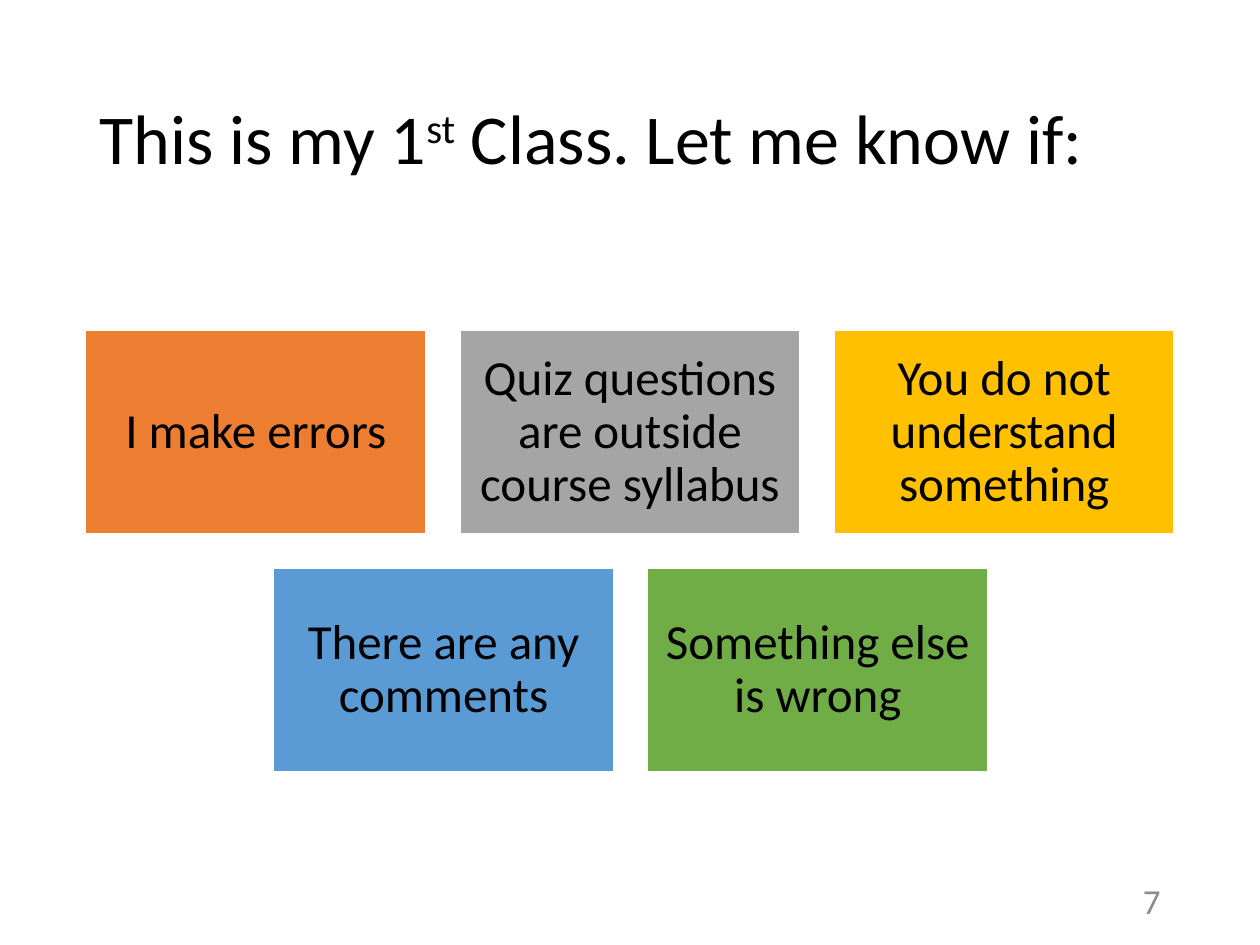
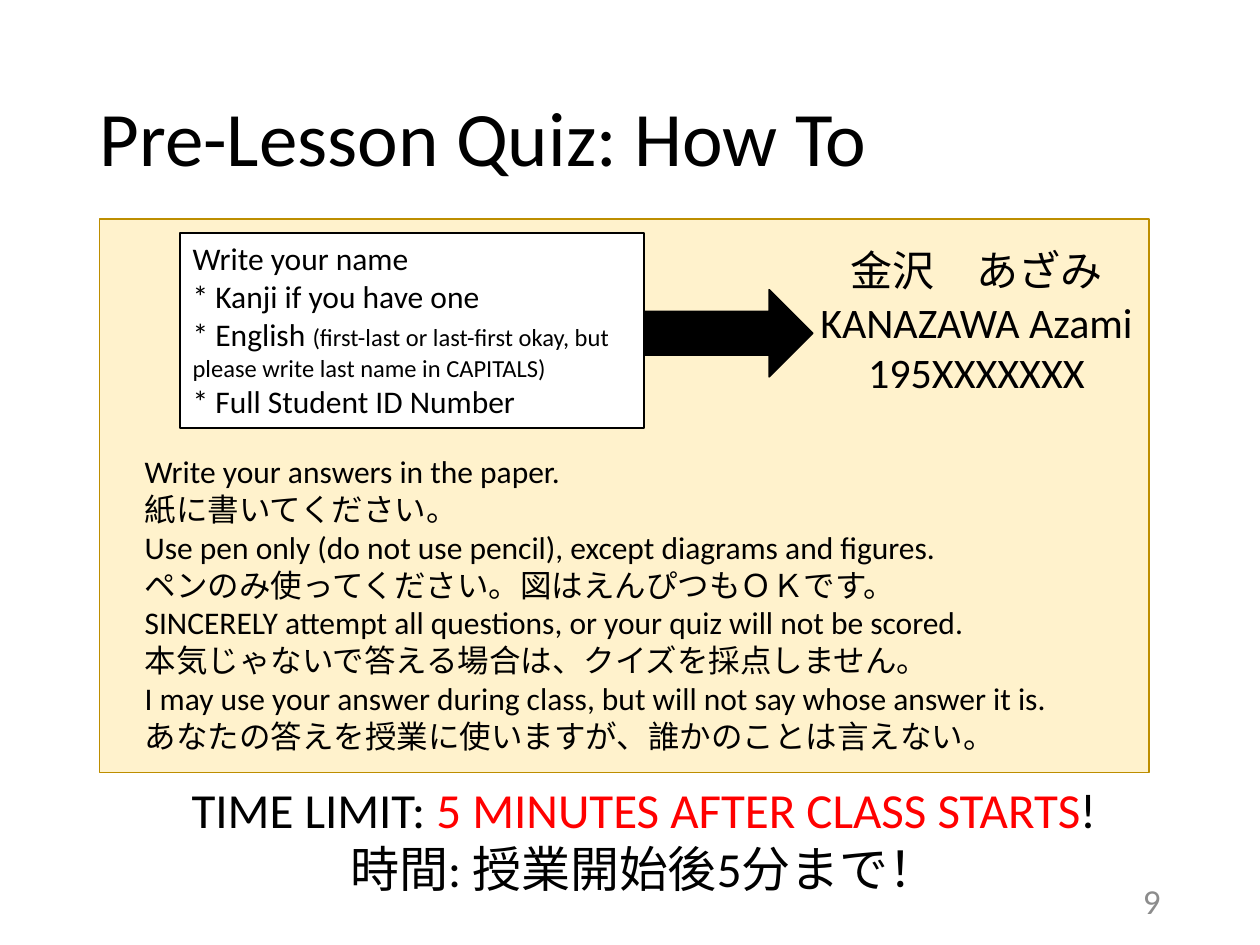
from pptx import Presentation
from pptx.dml.color import RGBColor
from pptx.enum.shapes import MSO_SHAPE as Preset
from pptx.enum.text import MSO_ANCHOR as Anchor, MSO_AUTO_SIZE as Fit, PP_ALIGN as Align
from pptx.util import Pt

# Shared look: 100 px to the inch
PX = 9144
FONT = "Calibri"
BLACK = RGBColor(0x00, 0x00, 0x00)
WHITE = RGBColor(0xFF, 0xFF, 0xFF)
RED = RGBColor(0xFF, 0x00, 0x00)
GRAY = RGBColor(0x8C, 0x8C, 0x8C)
CREAM = RGBColor(0xFF, 0xF2, 0xCC)
GOLD = RGBColor(0xBD, 0x8E, 0x00)
ORANGE = RGBColor(0xED, 0x7D, 0x31)
SILVER = RGBColor(0xA5, 0xA5, 0xA5)
YELLOW = RGBColor(0xFF, 0xC0, 0x00)
BLUE = RGBColor(0x5B, 0x9B, 0xD5)
GREEN = RGBColor(0x70, 0xAD, 0x47)

deck = Presentation()
deck.slide_width, deck.slide_height = 1000 * PX, 750 * PX
TITLE_ONLY = deck.slide_layouts[5]


def write(box, paras, size=18, color=BLACK, align=Align.LEFT, anchor=Anchor.TOP,
          fit=Fit.NONE, wrap=True, inset=(10, 5), spacing=1.0):
    """Fill a shape; a paragraph is a string or a list of strings and (text, format) pairs."""
    frame = box.text_frame
    frame.word_wrap, frame.auto_size, frame.vertical_anchor = wrap, fit, anchor
    frame.margin_left = frame.margin_right = inset[0] * PX
    frame.margin_top = frame.margin_bottom = inset[1] * PX
    for index, parts in enumerate(paras):
        para = frame.add_paragraph() if index else frame.paragraphs[0]
        para.alignment, para.line_spacing = align, spacing
        for part in [parts] if isinstance(parts, str) else parts:
            text, style = (part, {}) if isinstance(part, str) else part
            for row, line in enumerate(text.split("\n")):
                if row:
                    para.add_line_break()
                span = para.add_run()
                span.text = line
                span.font.name = FONT
                span.font.size = Pt(style.get("size", size))
                span.font.color.rgb = style.get("color", color)
                if "raised" in style:
                    span._r.get_or_add_rPr().set("baseline", str(style["raised"] * 1000))


def add_box(page, area, preset=None, fill=None, line=None):
    """Add a text box, or a filled and outlined preset shape."""
    area = [length * PX for length in area]
    if preset is None:
        return page.shapes.add_textbox(*area)
    box = page.shapes.add_shape(preset, *area)
    box.shadow.inherit = False
    box.fill.solid()
    box.fill.fore_color.rgb = fill
    box.line.color.rgb = line
    box.line.width = Pt(1)
    return box


# Titles and page numbers
pages = []
for heading, title_size, number in [
    (["This is my 1", ("st", {"raised": 30}), " Class. Let me know if:"], 40, "7"),
    ("Pre-Lesson Quiz: How To", 44, "9"),
]:
    page = deck.slides.add_slide(TITLE_ONLY)
    title = page.shapes.title
    title.left, title.top, title.width, title.height = 69 * PX, 40 * PX, 862 * PX, 145 * PX
    write(title, [heading], size=title_size, anchor=Anchor.MIDDLE, spacing=0.9)
    write(add_box(page, (706, 695, 225, 40)), [number], size=20, color=GRAY,
          align=Align.RIGHT, anchor=Anchor.MIDDLE)
    pages.append(page)
feedback_page, quiz_page = pages

# Feedback cards: each row is centred on the page
CARD_WIDTH, CARD_HEIGHT, GAP = 270, 162, 27
card_rows = [
    [("I make errors", ORANGE),
     ("Quiz questions are outside course syllabus", SILVER),
     ("You do not understand something", YELLOW)],
    [("There are any comments", BLUE), ("Something else is wrong", GREEN)],
]
for row, cards in enumerate(card_rows):
    row_width = len(cards) * (CARD_WIDTH + GAP) - GAP
    for column, (reason, fill) in enumerate(cards):
        left = 500 - row_width // 2 + column * (CARD_WIDTH + GAP)
        top = 262 + row * (CARD_HEIGHT + GAP)
        card = add_box(feedback_page, (left, top, CARD_WIDTH, CARD_HEIGHT),
                       Preset.RECTANGLE, fill, WHITE)
        write(card, [reason], size=28, align=Align.CENTER, anchor=Anchor.MIDDLE,
              inset=(12, 12), spacing=0.9)

# Quiz panel
add_box(quiz_page, (79, 174, 833, 439), Preset.RECTANGLE, CREAM, GOLD)

# Sample name and student number
centred = {"align": Align.CENTER, "fit": Fit.SHAPE_TO_FIT_TEXT, "wrap": False}
write(add_box(quiz_page, (664, 189, 222, 50)), ["金沢　あざみ"], size=24, **centred)
write(add_box(quiz_page, (640, 230, 270, 91)), ["KANAZAWA Azami", "195XXXXXXX"],
      size=24, **centred)

# Name instructions pointing at the sample
add_box(quiz_page, (512, 230, 133, 69), Preset.RIGHT_ARROW, BLACK, BLACK)
name_box = add_box(quiz_page, (143, 185, 368, 155), Preset.RECTANGLE, WHITE, BLACK)
write(name_box, [
    ["Write your name\n* Kanji if you have one\n* English ",
     ("(first-last or last-first okay, but please write last name in CAPITALS)", {"size": 14})],
    "* Full Student ID Number",
], fit=Fit.SHAPE_TO_FIT_TEXT)

# Quiz rules
write(add_box(quiz_page, (105, 354, 767, 252)), [
    "Write your answers in the paper.",
    "紙に書いてください。",
    "Use pen only (do not use pencil), except diagrams and figures.",
    "ペンのみ使ってください。図はえんぴつもＯＫです。",
    "SINCERELY attempt all questions, or your quiz will not be scored.",
    "本気じゃないで答える場合は、クイズを採点しません。",
    "I may use your answer during class, but will not say whose answer it is.",
    "あなたの答えを授業に使いますが、誰かのことは言えない。",
], fit=Fit.SHAPE_TO_FIT_TEXT)

# Time limit
write(add_box(quiz_page, (138, 614, 746, 104)), [
    ["TIME LIMIT: ", ("5 MINUTES AFTER CLASS STARTS", {"color": RED}), "!"],
    "時間: 授業開始後5分まで！",
], size=28, **centred)

deck.save("out.pptx")
